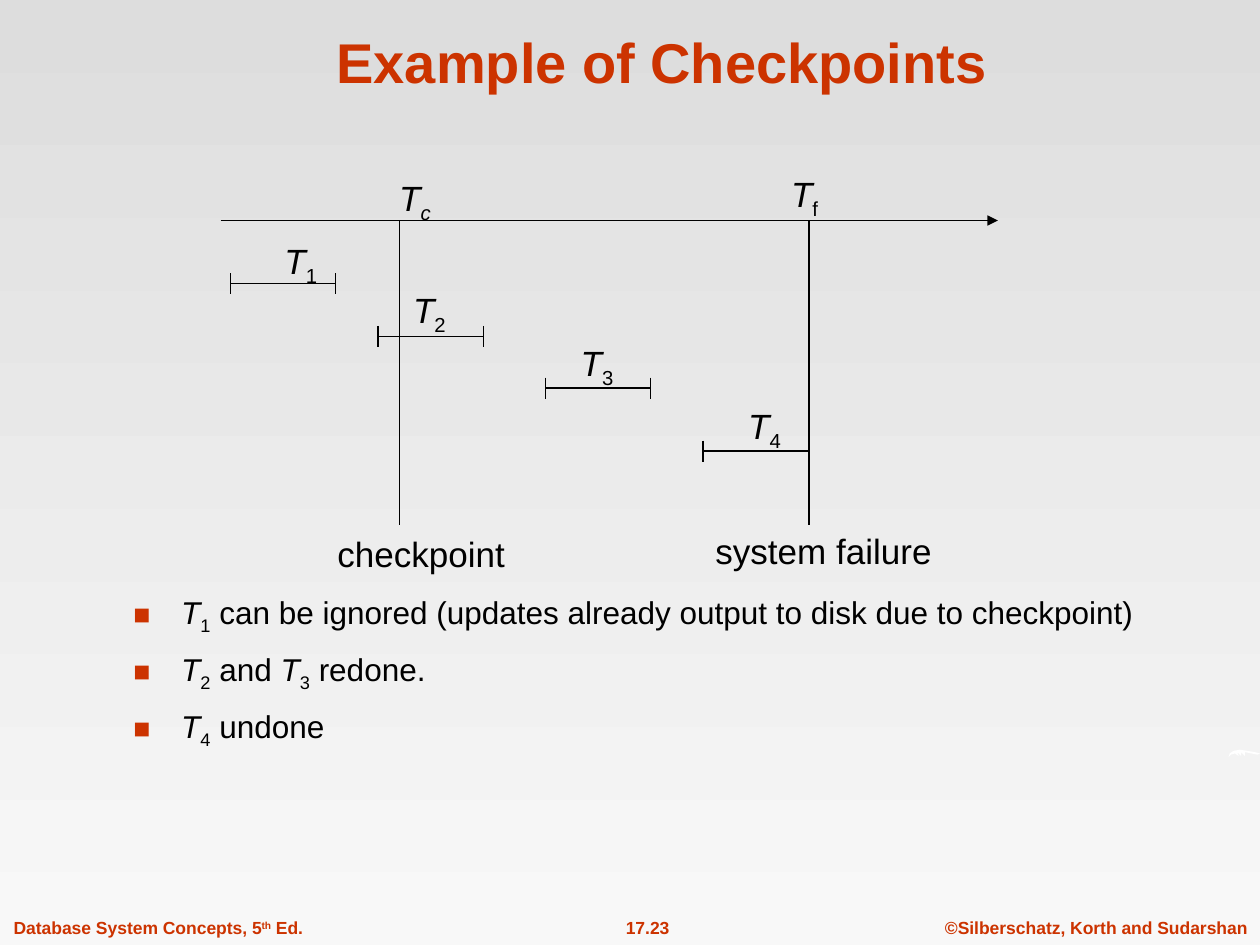
from lxml.etree import SubElement
from pptx import Presentation
from pptx.dml.color import RGBColor
from pptx.enum.shapes import MSO_CONNECTOR
from pptx.enum.text import MSO_ANCHOR, MSO_AUTO_SIZE, PP_ALIGN
from pptx.oxml.ns import qn
from pptx.util import Inches, Pt

RUST = RGBColor(0xCC, 0x33, 0x00)
BLACK = RGBColor(0, 0, 0)
WHITE = RGBColor(0xFF, 0xFF, 0xFF)
SKY = (RGBColor(0xDD, 0xDD, 0xDD), RGBColor(0xF8, 0xF8, 0xF8))

TITLE = "Example of Checkpoints"
ITALIC, SUB, SUPER = {"italic": True}, {"baseline": -25000}, {"baseline": 30000}


def transaction(number):
    return [("T", ITALIC), (number, SUB)]


BULLETS = [
    transaction("1") + [(" can be ignored (updates already output to disk due to checkpoint)", {})],
    transaction("2") + [(" and ", {})] + transaction("3") + [(" redone.", {})],
    transaction("4") + [(" undone", {})],
]
FOOTERS = [
    ((0.01, 7.23, 2.56, 0.27), PP_ALIGN.LEFT,
     [("Database System Concepts, 5", {}), ("th", SUPER), (" Ed.", {})]),
    ((4.61, 7.23, 1.06, 0.27), PP_ALIGN.CENTER, [("17.23", {})]),
    ((7.38, 7.23, 2.64, 0.27), PP_ALIGN.CENTER, [("©Silberschatz, Korth and Sudarshan", {})]),
]
AXIS_Y, AXIS_START, AXIS_END, EVENT_BOTTOM = 1.75, 1.75, 7.92, 4.17
EVENTS = [
    (3.17, (3.07, 1.35, 0.5, 0.48), [("T", ITALIC), ("c", ITALIC | SUB)],
     (2.58, 4.18, 1.6, 0.44), "checkpoint"),
    (6.42, (6.18, 1.32, 0.5, 0.48), [("T", ITALIC), ("f", SUB)],
     (5.58, 4.15, 2, 0.44), "system failure"),
]
SPAN_LENGTH, TICK = 0.835, 0.083
SPANS = [
    ("1", 1.83, 2.25, 2.16, 1.85),
    ("2", 3.0, 2.67, 3.18, 2.24),
    ("3", 4.33, 3.08, 4.51, 2.66),
    ("4", 5.58, 3.58, 5.84, 3.16),
]
SWOOSH = [(9.75, 6.01), (9.76, 5.98), (9.79, 5.96), (9.84, 5.95), (9.9, 5.96), (9.96, 5.97),
          (10, 5.98), (9.98, 5.99), (9.93, 5.98), (9.88, 5.97), (9.88, 6), (9.85, 5.97),
          (9.85, 6), (9.82, 5.97), (9.83, 6), (9.8, 5.98), (9.77, 5.99)]


def write(paragraph, pieces, size, color, bold=False):
    for text, style in pieces:
        run = paragraph.add_run()
        run.text = text
        look = {"name": "Arial", "size": Pt(size), "bold": bold,
                "italic": style.get("italic", False)}
        for key, value in look.items():
            setattr(run.font, key, value)
        run.font.color.rgb = color
        if "baseline" in style:
            run.font._element.set("baseline", str(style["baseline"]))


def add_label(slide, box, pieces, size=20, color=BLACK, bold=False, align=PP_ALIGN.LEFT, before=0):
    frame = slide.shapes.add_textbox(*map(Inches, box)).text_frame
    frame.word_wrap = False
    frame.auto_size = MSO_AUTO_SIZE.SHAPE_TO_FIT_TEXT
    paragraph = frame.paragraphs[0]
    paragraph.alignment = align
    paragraph.space_before = Pt(before)
    write(paragraph, pieces, size, color, bold)


def add_line(slide, x1, y1, x2, y2, arrow=False):
    line = slide.shapes.add_connector(MSO_CONNECTOR.STRAIGHT, *map(Inches, (x1, y1, x2, y2)))
    line.line.color.rgb = BLACK
    line.line.width = Pt(0.75)
    if arrow:
        SubElement(line.line._get_or_add_ln(), qn("a:tailEnd"), type="triangle")
    SubElement(line._element.spPr, qn("a:effectLst"))


def add_backdrop(slide):
    fill = slide.background.fill
    fill.gradient()
    fill.gradient_angle = 270
    for stop, color, position in zip(fill.gradient_stops, SKY, (0, 1)):
        stop.color.rgb = color
        stop.position = position
    outline = slide.shapes.build_freeform(*map(Inches, SWOOSH[0]))
    outline.add_line_segments([(Inches(x), Inches(y)) for x, y in SWOOSH[1:]], close=True)
    swoosh = outline.convert_to_shape()
    swoosh.shadow.inherit = False
    swoosh.fill.solid()
    swoosh.fill.fore_color.rgb = WHITE
    swoosh.line.fill.background()
    for box, align, pieces in FOOTERS:
        add_label(slide, box, pieces, 10, RUST, True, align, before=6.2)


def add_title(slide):
    title = slide.shapes.title
    title.left, title.top, title.width, title.height = map(Inches, (0.84, 0.13, 8.83, 0.67))
    title.text_frame.vertical_anchor = MSO_ANCHOR.BOTTOM
    heading = title.text_frame.paragraphs[0]
    heading.alignment = PP_ALIGN.CENTER
    write(heading, [(TITLE, {})], 32, RUST, True)


def add_bullets(slide):
    frame = slide.shapes.add_textbox(*map(Inches, (0.96, 1.38, 9.04, 5.47))).text_frame
    frame.word_wrap = True
    frame.margin_top = Inches(3.33)
    for index, pieces in enumerate(BULLETS):
        paragraph = frame.add_paragraph() if index else frame.paragraphs[0]
        paragraph.space_before = Pt(7.9)
        props = paragraph._p.get_or_add_pPr()
        props.set("marL", str(Inches(0.38)))
        props.set("indent", str(-Inches(0.38)))
        SubElement(SubElement(props, qn("a:buClr")), qn("a:srgbClr"), val=str(RUST))
        SubElement(props, qn("a:buSzPct"), val="90000")
        SubElement(props, qn("a:buFont"), typeface="Arial")
        SubElement(props, qn("a:buChar"), char="■")
        write(paragraph, pieces, 18, BLACK)


def add_timeline(slide):
    add_line(slide, AXIS_START, AXIS_Y, AXIS_END, AXIS_Y, arrow=True)
    for x, symbol_box, symbol, caption_box, caption in EVENTS:
        add_line(slide, x, AXIS_Y, x, EVENT_BOTTOM)
        add_label(slide, symbol_box, symbol)
        add_label(slide, caption_box, [(caption, {})])
    for number, start, y, label_x, label_y in SPANS:
        end = start + SPAN_LENGTH
        add_line(slide, start, y, end, y)
        for x in (start, end):
            add_line(slide, x, y - TICK, x, y + TICK)
        add_label(slide, (label_x, label_y, 0.5, 0.48), transaction(number))


def main():
    deck = Presentation()
    deck.slide_width, deck.slide_height = Inches(10), Inches(7.5)
    slide = deck.slides.add_slide(deck.slide_layouts[5])
    add_backdrop(slide)
    add_title(slide)
    add_bullets(slide)
    add_timeline(slide)
    deck.save("out.pptx")


if __name__ == "__main__":
    main()
